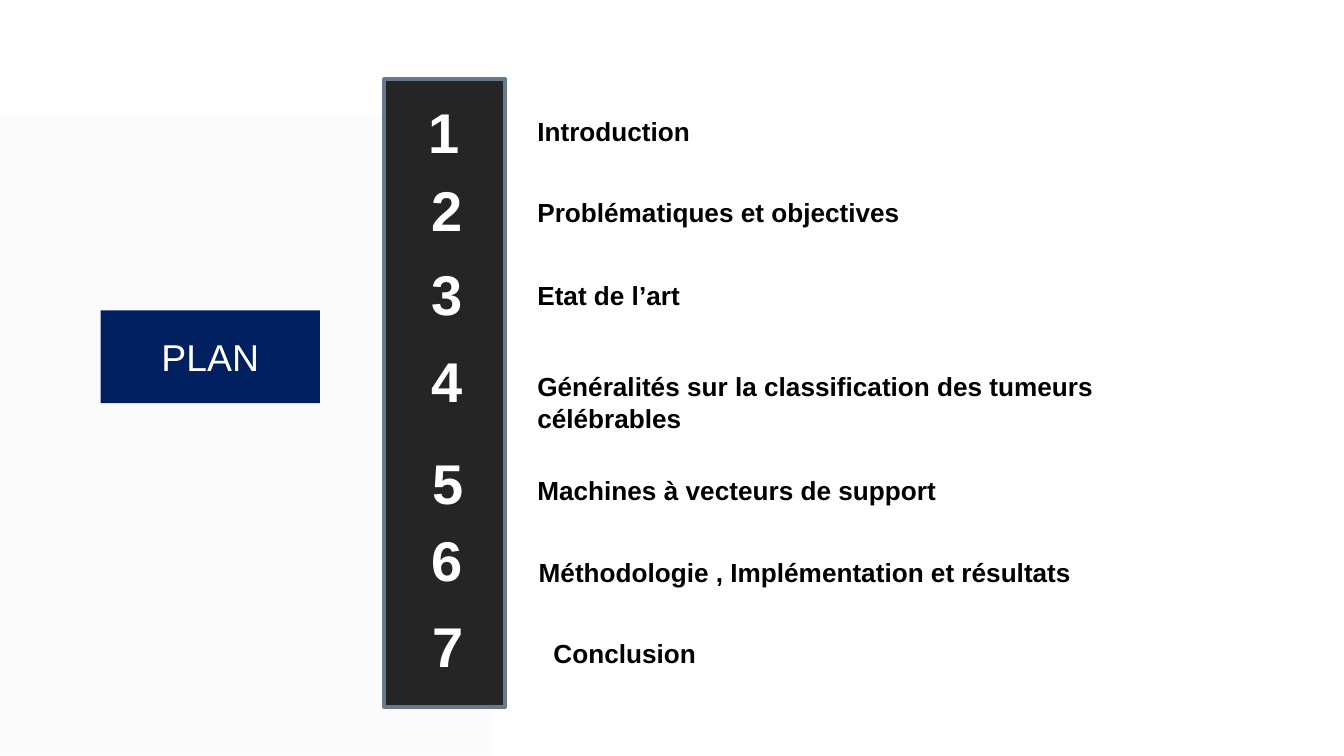
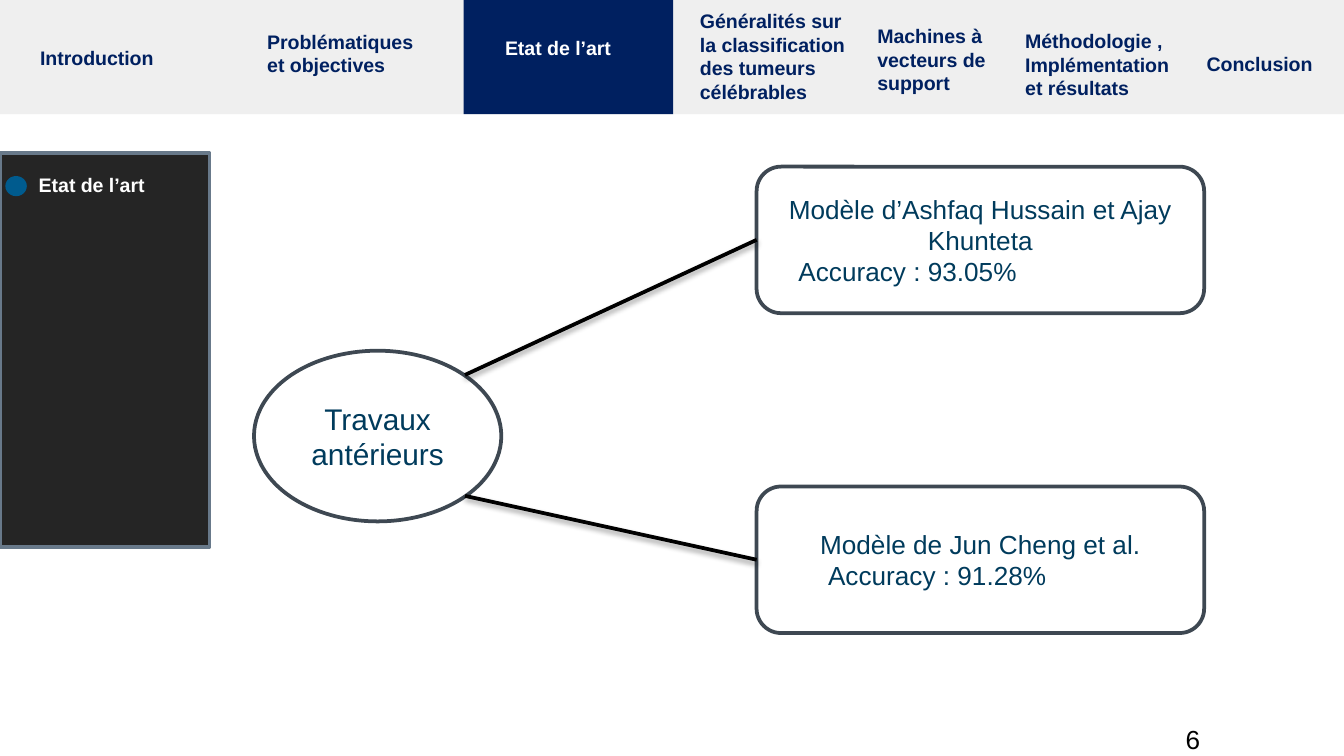
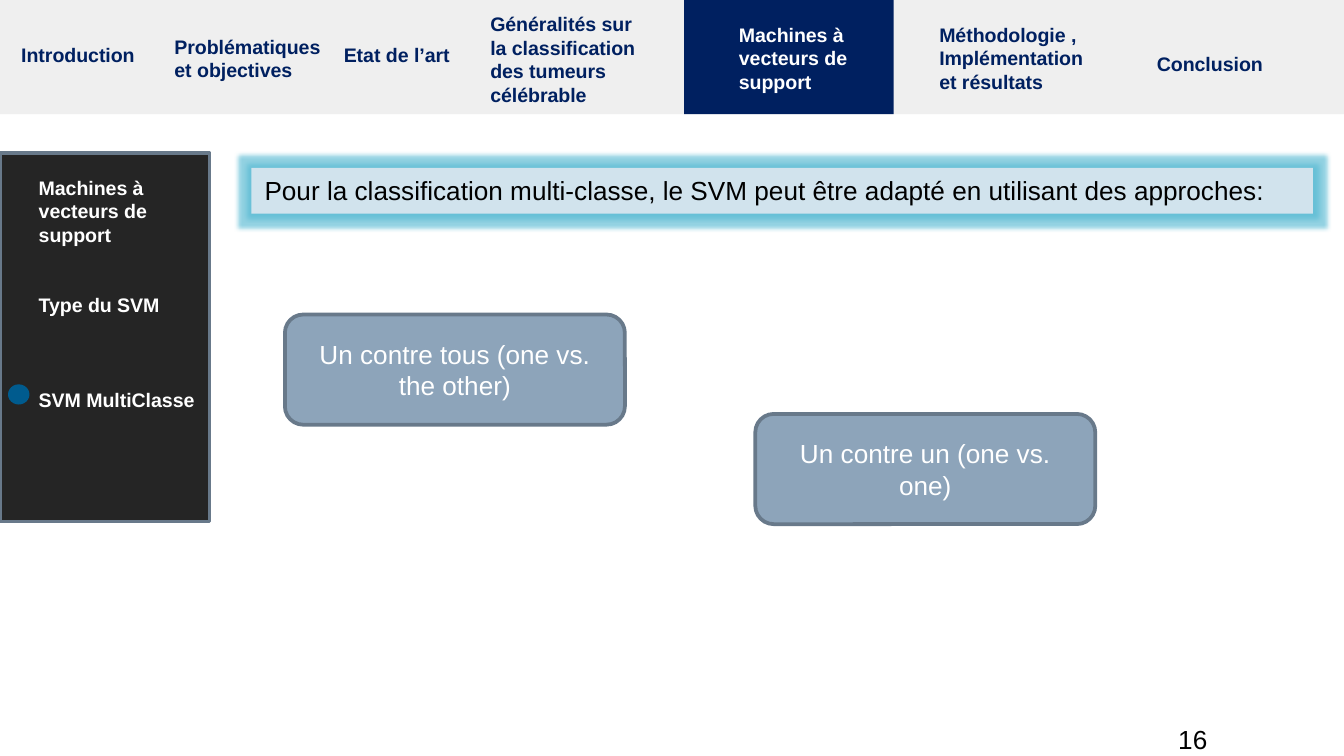
import dataclasses

import lxml.etree
import pptx
import pptx.dml.color
import pptx.enum.shapes
import pptx.enum.text
import pptx.oxml.ns
import pptx.util

Inches = pptx.util.Inches
Pt = pptx.util.Pt
SHAPE = pptx.enum.shapes.MSO_SHAPE
ALIGN = pptx.enum.text.PP_ALIGN
ANCHOR = pptx.enum.text.MSO_ANCHOR
qn = pptx.oxml.ns.qn


@dataclasses.dataclass(frozen=True)
class Theme:
    font: str = "Arial"
    white: str = "FFFFFF"
    black: str = "000000"
    navy: str = "002060"
    pale: str = "EFEFEF"
    dark: str = "252525"
    slate: str = "68798A"
    steel: str = "8DA4BA"
    ink: str = "003B5C"
    edge: str = "3E4852"
    dot: str = "005B8E"
    sky: str = "D1E3ED"
    glow: str = "4BB5D0"
    small: float = 10.5
    body: float = 14
    node: float = 16
    title: float = 20
    digit: float = 30
    stroke: float = 2


T = Theme()
SECTIONS = [
    "Introduction",
    "Problématiques et objectives",
    "Etat de l’art",
    "Généralités sur la classification des tumeurs célébrables",
    "Machines à vecteurs de support",
    "Méthodologie , Implémentation et résultats",
    "Conclusion",
]
SIZES = [(1.37, 0.28), (1.4, 0.45), (1.24, 0.63), (1.36, 0.81),
         (1.24, 0.63), (1.42, 0.63), (1.1, 0.28)]
TAB = 1.56


def rgb(code):
    return pptx.dml.color.RGBColor.from_string(code)


def child(parent, tag, **attrs):
    node = lxml.etree.SubElement(parent, qn(tag))
    for key, value in attrs.items():
        node.set(key, str(value))
    return node


def fade(parent, code, share):
    """Add a colour with its opacity in percent."""
    tint = child(parent, "a:srgbClr", val=code)
    child(tint, "a:alpha", val=share * 1000)


def write(frame, lines, size, color, bold=False, align=ALIGN.LEFT, gaps=()):
    """Fill a frame, one paragraph a line; gaps are points before lines."""
    frame.word_wrap = True
    for i, line in enumerate(lines):
        para = frame.paragraphs[0] if i == 0 else frame.add_paragraph()
        para.text = line
        para.alignment = align
        if i and gaps:
            para.space_before = Pt(gaps[i - 1])
        font = para.font
        font.name, font.size, font.bold = T.font, Pt(size), bold
        font.color.rgb = rgb(color)


def label(slide, x, y, w, h, text, size, color, bold=True, **more):
    box = slide.shapes.add_textbox(Inches(x), Inches(y), Inches(w), Inches(h))
    lines = [text] if isinstance(text, str) else text
    write(box.text_frame, lines, size, color, bold, **more)


def block(slide, kind, x, y, w, h, fill, line=None):
    shape = slide.shapes.add_shape(
        kind, Inches(x), Inches(y), Inches(w), Inches(h))
    shape.shadow.inherit = False
    shape.fill.solid()
    shape.fill.fore_color.rgb = rgb(fill)
    if line:
        shape.line.color.rgb = rgb(line)
        shape.line.width = Pt(T.stroke)
    else:
        shape.line.fill.background()
    return shape


def card(slide, kind, x, y, w, h, lines, size, color, fill, line=None):
    shape = block(slide, kind, x, y, w, h, fill, line)
    write(shape.text_frame, lines, size, color, align=ALIGN.CENTER)
    shape.text_frame.vertical_anchor = ANCHOR.MIDDLE
    return shape


def nav(slide, names, spots, active, left):
    """Draw the top band of sections and mark the active one."""
    block(slide, SHAPE.RECTANGLE, -0.02, -0.01, 10.06, 0.86, T.pale)
    block(slide, SHAPE.RECTANGLE, left, -0.01, TAB, 0.86, T.navy)
    for i, (name, spot, size) in enumerate(zip(names, spots, SIZES)):
        color = T.white if i == active else T.navy
        label(slide, *spot, *size, name, T.small, color)


def side(slide, h, lines, top, tall, dot, gaps=()):
    """Draw the left panel of topics, with a dot by the current one."""
    block(slide, SHAPE.RECTANGLE, 0, 1.14, TAB, h, T.dark, T.slate)
    label(slide, 0.19, top, 1.37, tall, lines, T.small, T.white, gaps=gaps)
    block(slide, SHAPE.OVAL, *dot, 0.16, 0.15, T.dot)


def page(slide, number):
    label(slide, 7.75, 5.33, 2.25, 0.29, number, T.body, T.black,
          bold=False, align=ALIGN.CENTER)


def link(slide, x, y, target):
    """Join a point to the left side of a card."""
    line = slide.shapes.add_connector(
        pptx.enum.shapes.MSO_CONNECTOR.STRAIGHT,
        Inches(x), Inches(y), target.left, target.top)
    line.end_connect(target, 1)
    line.line.color.rgb = rgb(T.black)
    line.line.width = Pt(T.stroke)
    effects = child(line._element.spPr, "a:effectLst")
    shade = child(effects, "a:outerShdw", blurRad=Pt(3.1), dist=Pt(1.6),
                  dir=5400000, rotWithShape=0)
    fade(shade, T.black, 38)


def plan(slide):
    panel = block(slide, SHAPE.RECTANGLE, 0, 0.86, 3.66, 4.76, T.pale)
    tint = panel._element.spPr.find(qn("a:solidFill"))[0]
    child(tint, "a:alpha", val=20000)
    card(slide, SHAPE.RECTANGLE, 0.75, 2.31, 1.63, 0.69, ["PLAN"],
         T.title, T.white, T.navy)
    block(slide, SHAPE.RECTANGLE, 2.86, 0.59, 0.9, 4.67, T.dark, T.slate)
    rows = [(3.09, 0.68, 3.9, 0.81), (3.11, 1.26, 3.9, 1.41),
            (3.11, 1.88, 3.9, 2.03), (3.11, 2.53, 3.9, 2.71),
            (3.12, 3.29, 3.9, 3.48), (3.11, 3.86, 3.91, 4.09),
            (3.12, 4.5, 4.02, 4.69)]
    for i, (name, (left, top, x, y)) in enumerate(zip(SECTIONS, rows), 1):
        label(slide, left, top, 0.29, 0.61, str(i), T.digit, T.white)
        label(slide, x, y, 4.94, 0.57, name, T.body, T.black)


def works(slide):
    spots = [(0.2, 0.29), (1.89, 0.17), (3.66, 0.22), (5.11, 0.02),
             (6.43, 0.13), (7.53, 0.17), (8.88, 0.34)]
    nav(slide, SECTIONS, spots, 2, 3.45)
    side(slide, 2.93, ["Etat de l’art"], 1.24, 0.98, (0.04, 1.31))
    card(slide, SHAPE.OVAL, 1.89, 2.61, 1.84, 1.27, ["Travaux antérieurs"],
         T.node, T.ink, T.white, T.edge)
    models = [
        (1.24, "Modèle d’Ashfaq Hussain et Ajay Khunteta",
         "Accuracy : 93.05%", 0.16, 2.79),
        (3.62, "Modèle de Jun Cheng et al.",
         "Accuracy : 91.28%", 0.38, 3.69),
    ]
    for y, name, score, indent, start in models:
        model = card(slide, SHAPE.ROUNDED_RECTANGLE, 5.63, y, 3.33, 1.09,
                     [name, score], T.body, T.ink, T.white, T.edge)
        last = model.text_frame.paragraphs[1]
        last.alignment = ALIGN.LEFT
        last._p.get_or_add_pPr().set("marL", str(Inches(indent)))
        link(slide, 3.46, start, model)
    page(slide, "6")


def multi(slide):
    spots = [(0.06, 0.27), (1.2, 0.21), (2.46, 0.27), (3.55, 0.04),
             (5.4, 0.12), (6.89, 0.12), (8.51, 0.34)]
    names = list(SECTIONS)
    names[3] = "Généralités sur la classification des tumeurs célébrable"
    nav(slide, names, spots, 4, 5.09)
    side(slide, 2.74, [SECTIONS[4], "Type du SVM", "SVM MultiClasse"],
         1.26, 1.87, (0.06, 2.86), gaps=(25, 38))
    lead = block(slide, SHAPE.RECTANGLE, 1.87, 1.25, 7.9, 0.34, T.sky)
    write(lead.text_frame,
          ["Pour la classification multi-classe, le SVM peut être adapté "
           "en utilisant des approches:"], T.body, T.black)
    lead.text_frame.vertical_anchor = ANCHOR.TOP
    effects = lead._element.spPr.find(qn("a:effectLst"))
    fade(child(effects, "a:glow", rad=Pt(5)), T.glow, 60)
    for x, y, text in [(2.12, 2.34, "Un contre tous (one vs. the other)"),
                       (5.62, 3.08, "Un contre un (one vs. one)")]:
        card(slide, SHAPE.ROUNDED_RECTANGLE, x, y, 2.53, 0.82, [text],
             T.body, T.white, T.steel, T.slate)
    page(slide, "16")


def main():
    deck = pptx.Presentation()
    deck.slide_width = Inches(10)
    deck.slide_height = deck.slide_width * 9 // 16
    for build in (plan, works, multi):
        build(deck.slides.add_slide(deck.slide_layouts[6]))
    deck.save("out.pptx")


if __name__ == "__main__":
    main()
